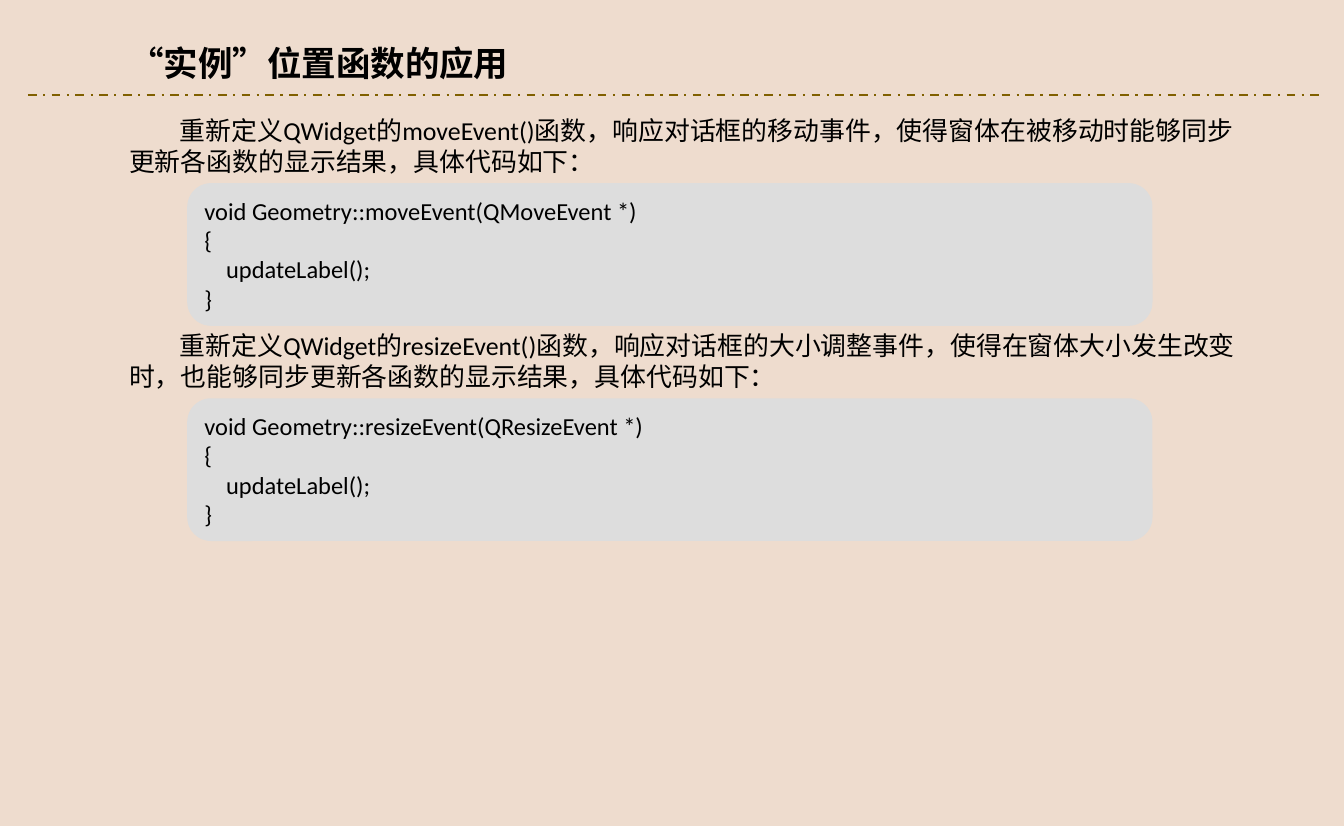
from lxml import etree
from pptx import Presentation
from pptx.dml.color import RGBColor
from pptx.enum.dml import MSO_LINE
from pptx.enum.lang import MSO_LANGUAGE_ID
from pptx.enum.shapes import MSO_CONNECTOR, MSO_SHAPE
from pptx.enum.text import MSO_ANCHOR, MSO_AUTO_SIZE, PP_ALIGN
from pptx.oxml.ns import qn
from pptx.util import Inches, Pt

STRAIGHT = MSO_CONNECTOR.STRAIGHT
ROUND = MSO_SHAPE.ROUNDED_RECTANGLE
DASH = MSO_LINE.DASH_DOT
LEFT = PP_ALIGN.LEFT
TOP, MIDDLE = MSO_ANCHOR.TOP, MSO_ANCHOR.MIDDLE
GROW = MSO_AUTO_SIZE.SHAPE_TO_FIT_TEXT
CHINESE = MSO_LANGUAGE_ID.SIMPLIFIED_CHINESE

SAND = RGBColor(0xEE, 0xDC, 0xCE)
BROWN = RGBColor(0x80, 0x60, 0x00)
GREY = RGBColor(0xDD, 0xDD, 0xDD)
BLACK = RGBColor(0, 0, 0)

EVENTS = [
    ("moveEvent", "QMoveEvent", "响应对话框的移动事件，使得窗体在被移动时能够同步更新各函数的显示结果"),
    ("resizeEvent", "QResizeEvent",
     "响应对话框的大小调整事件，使得在窗体大小发生改变时，也能够同步更新各函数的显示结果"),
]


def write(shape, lines, size=18, bold=False, indents=(0,), wrap=True, anchor=TOP, font="Calibri"):
    """Fill a shape with one paragraph per line."""
    frame = shape.text_frame
    frame.word_wrap = wrap
    frame.auto_size = GROW
    frame.vertical_anchor = anchor
    for i, (line, indent) in enumerate(zip(lines, indents)):
        para = frame.add_paragraph() if i else frame.paragraphs[0]
        para.alignment = LEFT
        para._p.get_or_add_pPr().set("indent", str(Inches(indent)))
        run = para.add_run()
        run.text = line
        style = run.font
        style.name, style.size, style.bold = font, Pt(size), bold
        style.color.rgb = BLACK
        style.language_id = CHINESE


class Page:
    """Hold the style and the current slide."""

    def __init__(self, deck):
        self.slide = deck.slides.add_slide(deck.slide_layouts[6])
        self.shapes = self.slide.shapes
        fill = self.slide.background.fill
        fill.solid()
        fill.fore_color.rgb = SAND

    def rule(self, left, right, top):
        """Draw a dashed level line."""
        line = self.shapes.add_connector(
            STRAIGHT, Inches(left), Inches(top), Inches(right), Inches(top))
        line.line.color.rgb = BROWN
        line.line.width = Pt(1.5)
        line.line.dash_style = DASH
        etree.SubElement(line._element.spPr, qn("a:effectLst"))

    def text(self, left, top, width, height, line, indent=0, **style):
        """Add a text box with one paragraph."""
        box = self.shapes.add_textbox(*map(Inches, (left, top, width, height)))
        write(box, [line], indents=(indent,), **style)

    def code(self, left, top, width, height, lines, indents):
        """Add a rounded panel of code."""
        panel = self.shapes.add_shape(ROUND, *map(Inches, (left, top, width, height)))
        panel.shadow.inherit = False
        panel.fill.solid()
        panel.fill.fore_color.rgb = GREY
        panel.line.fill.background()
        write(panel, lines, size=17, indents=indents, anchor=MIDDLE)


def main():
    """Build and save the slide."""
    deck = Presentation()
    deck.slide_width, deck.slide_height = Inches(12.99), Inches(7.985)
    page = Page(deck)
    page.rule(0.27, 12.79, 0.92)
    page.text(1.15, 0.36, 3.9, 0.5, "“实例”位置函数的应用", size=24, bold=True, wrap=False)
    for i, (name, kind, effect) in enumerate(EVENTS):
        top = 1.06 + 2.08 * i
        page.text(1.15, top, 10.94, 0.71,
                  f"重新定义QWidget的{name}()函数，{effect}，具体代码如下：", indent=0.49)
        lines = [f"void Geometry::{name}({kind} *)", "{", "updateLabel();", "}"]
        page.code(1.81, top + 0.71, 9.33, 1.38, lines, (0, 0, 0.21, 0))
    deck.save("out.pptx")


if __name__ == "__main__":
    main()
